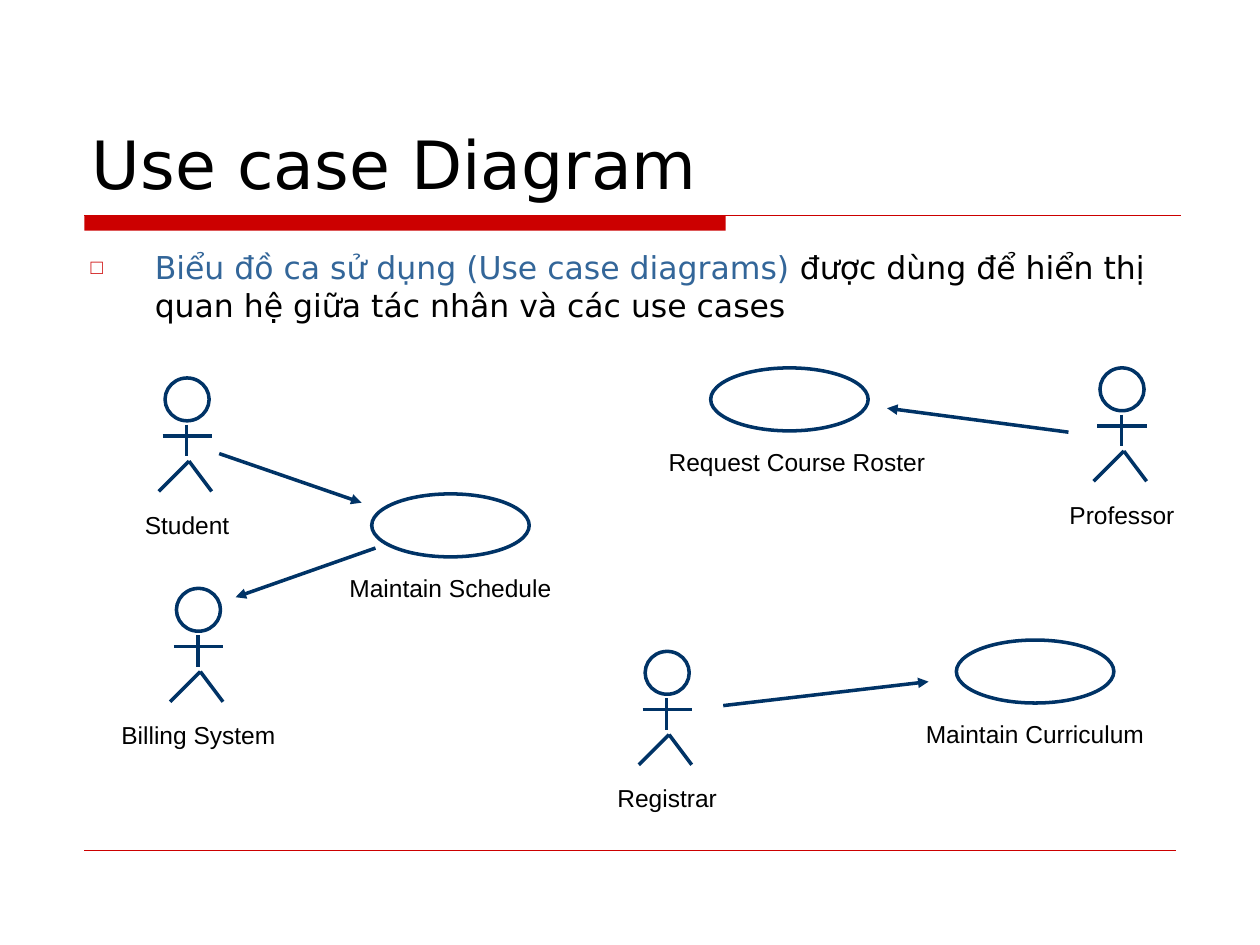
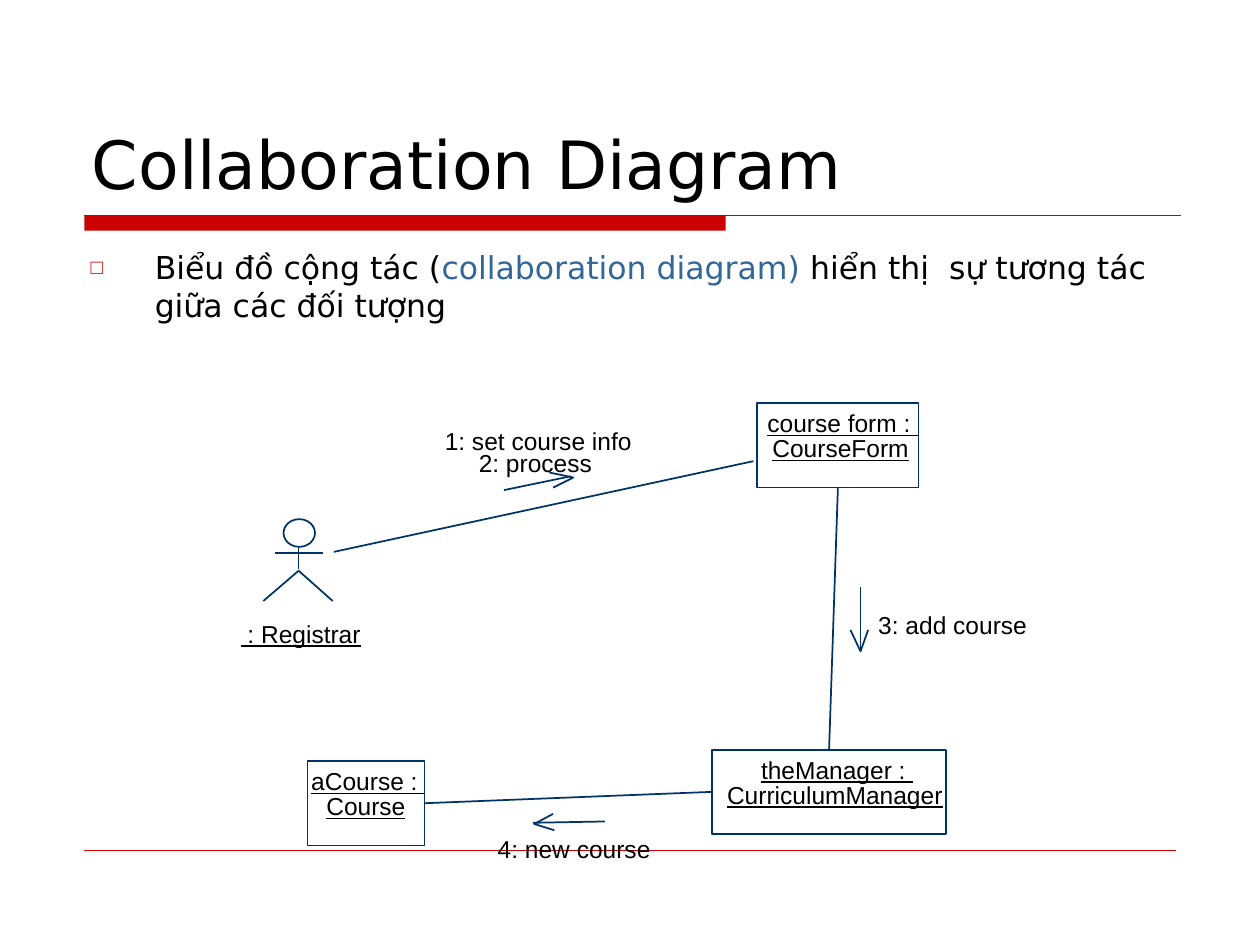
from dataclasses import dataclass

from lxml import etree
from pptx import Presentation
from pptx.dml.color import RGBColor
from pptx.enum.shapes import MSO_CONNECTOR, MSO_SHAPE
from pptx.enum.text import MSO_ANCHOR, MSO_AUTO_SIZE, PP_ALIGN
from pptx.oxml.ns import qn
from pptx.util import Inches, Pt

STRAIGHT = MSO_CONNECTOR.STRAIGHT
OVAL, RECTANGLE = MSO_SHAPE.OVAL, MSO_SHAPE.RECTANGLE
LEFT, CENTER = PP_ALIGN.LEFT, PP_ALIGN.CENTER
TOP, MIDDLE, BOTTOM = MSO_ANCHOR.TOP, MSO_ANCHOR.MIDDLE, MSO_ANCHOR.BOTTOM
FIXED_SIZE = MSO_AUTO_SIZE.NONE
SIDE_TOP, SIDE_LEFT, SIDE_BOTTOM, SIDE_RIGHT = range(4)
TITLE_ONLY = 5
LABEL_SLACK = 0.1  # spare width that keeps each label on one line

Point = tuple[float, float]
Stroke = tuple[Point, ...]


@dataclass(frozen=True)
class Theme:
    red: str = "CC0000"
    navy: str = "003366"
    blue: str = "336699"
    black: str = "000000"
    heading_font: str = "DejaVu Sans"
    label_font: str = "Arial"
    title_size: int = 38
    body_size: int = 18
    label_size: int = 14
    bold_line: float = 2
    thin_line: float = 1
    footer_line: float = 0.25


THEME = Theme()


@dataclass(frozen=True)
class FigureStyle:
    """Head size and limb strokes, measured from the head's top left corner."""
    head_width: float
    head_height: float
    strokes: tuple[Stroke, ...]
    line_width: float


@dataclass(frozen=True)
class Label:
    text: str
    left: float
    top: float
    width: float
    underline: bool = False


@dataclass(frozen=True)
class Actor:
    name: str
    left: float
    top: float
    label_width: float


@dataclass(frozen=True)
class UseCase:
    name: str
    left: float
    top: float
    label_width: float
    label_shift: float = 0


@dataclass(frozen=True)
class ObjectBox:
    left: float
    top: float
    width: float
    lines: tuple[tuple[str, float, float], ...]  # text, left, width


@dataclass(frozen=True)
class Message:
    shaft: Stroke
    head: Stroke


BOLD_FIGURE = FigureStyle(0.35, 0.34, (
    ((0.19, 0.66), (-0.05, 0.9)), ((0.19, 0.66), (0.37, 0.9)),
    ((0.17, 0.37), (0.17, 0.62)), ((-0.02, 0.46), (0.37, 0.46))), THEME.bold_line)
THIN_FIGURE = FigureStyle(0.25, 0.22, (
    ((0.12, 0.22), (0.12, 0.4)), ((-0.07, 0.27), (0.31, 0.27)),
    ((-0.16, 0.65), (0.12, 0.41), (0.39, 0.65))), THEME.thin_line)

ACTORS = (
    Actor("Student", 1.31, 3, 0.87),
    Actor("Registrar", 5.12, 5.17, 0.99),
    Actor("Professor", 8.73, 2.92, 1.03),
    Actor("Billing System", 1.4, 4.67, 1.42),
)
USE_CASES = (
    UseCase("Maintain Schedule", 2.95, 3.92, 1.8),
    UseCase("Maintain Curriculum", 7.59, 5.08, 1.93),
    UseCase("Request Course Roster", 5.64, 2.92, 2.24, 0.06),
)
USE_CASE_ARROWS = (
    ((8.48, 3.43), (7.04, 3.24)), ((1.74, 3.6), (2.87, 3.99)),
    ((2.98, 4.35), (1.87, 4.74)), ((5.74, 5.6), (7.37, 5.41)),
)
OBJECT_BOXES = (
    ObjectBox(6.01, 3.2, 1.28,
              (("course form : ", 6.09, 1.19), ("CourseForm", 6.13, 1.08))),
    ObjectBox(5.65, 5.95, 1.86,
              (("theManager : ", 6.04, 1.2), ("CurriculumManager", 5.77, 1.71))),
    ObjectBox(2.44, 6.04, 0.93,
              (("aCourse : ", 2.47, 0.9), ("Course", 2.59, 0.63))),
)
MESSAGES = (
    Message(((4, 3.89), (4.53, 3.78)), ((4.39, 3.87), (4.55, 3.79), (4.36, 3.75))),
    Message(((6.83, 4.66), (6.83, 5.16)), ((6.89, 5), (6.83, 5.17), (6.75, 5))),
    Message(((4.8, 6.52), (4.23, 6.53)), ((4.4, 6.59), (4.24, 6.54), (4.39, 6.46))),
)
MESSAGE_LABELS = (
    Label("1: set course info", 3.53, 3.38, 1.49),
    Label("2: process", 3.8, 3.56, 0.9),
    Label("3: add course", 6.97, 4.84, 1.18),
    Label("4: new course", 3.95, 6.62, 1.21),
)


# Formatting helpers
def apply_format(target, values: dict) -> None:
    for name, value in values.items():
        setattr(target, name, value)


def format_font(font, family: str, size: float, color: str, underline=False) -> None:
    apply_format(font, {"name": family, "size": Pt(size), "underline": underline})
    font.color.rgb = RGBColor.from_string(color)


def format_frame(frame, inset_x=0.0, inset_y=0.0, wrap=True, anchor=TOP) -> None:
    apply_format(frame, {
        "margin_left": Inches(inset_x), "margin_right": Inches(inset_x),
        "margin_top": Inches(inset_y), "margin_bottom": Inches(inset_y),
        "word_wrap": wrap, "auto_size": FIXED_SIZE, "vertical_anchor": anchor})


def format_outline(shape, color: str, width: float) -> None:
    shape.line.color.rgb = RGBColor.from_string(color)
    shape.line.width = Pt(width)


# Drawing helpers
def add_line(slide, start: Point, end: Point, width: float,
             color: str = THEME.navy, arrow: bool = False):
    line = slide.shapes.add_connector(STRAIGHT, *map(Inches, (*start, *end)))
    format_outline(line, color, width)
    if arrow:
        etree.SubElement(line.line._get_or_add_ln(), qn("a:tailEnd"), type="triangle")
    etree.SubElement(line._element.spPr, qn("a:effectLst"))
    return line


def add_outline(slide, kind, left: float, top: float, width: float,
                height: float, line_width: float):
    shape = slide.shapes.add_shape(kind, *map(Inches, (left, top, width, height)))
    shape.shadow.inherit = False
    shape.fill.background()
    format_outline(shape, THEME.navy, line_width)
    return shape


def add_stroke(slide, points: Stroke, width: float) -> None:
    """Draw a segment as a line and a longer run of points as an open outline."""
    if len(points) == 2:
        add_line(slide, *points, width)
        return
    start, *rest = [(Inches(x), Inches(y)) for x, y in points]
    builder = slide.shapes.build_freeform(*start)
    builder.add_line_segments(rest, close=False)
    shape = builder.convert_to_shape()
    shape.shadow.inherit = False
    shape.fill.background()
    format_outline(shape, THEME.navy, width)


def add_text(slide, label: Label, height: float, alignment, **frame_format) -> None:
    box = slide.shapes.add_textbox(
        *map(Inches, (label.left, label.top, label.width, height)))
    format_frame(box.text_frame, **frame_format)
    paragraph = box.text_frame.paragraphs[0]
    paragraph.alignment = alignment
    run = paragraph.add_run()
    run.text = label.text
    format_font(run.font, THEME.label_font, THEME.label_size, THEME.black, label.underline)


def add_tight_label(slide, label: Label) -> None:
    roomy = Label(label.text, label.left, label.top, label.width + LABEL_SLACK,
                  label.underline)
    add_text(slide, roomy, 0.23, LEFT)


def add_centered_label(slide, text: str, center: float, top: float, width: float) -> None:
    width += LABEL_SLACK
    add_text(slide, Label(text, center - width / 2, top, width), 0.33, CENTER,
             inset_x=0.1, inset_y=0.05, anchor=MIDDLE)


def add_figure(slide, left: float, top: float, style: FigureStyle) -> None:
    add_outline(slide, OVAL, left, top, style.head_width, style.head_height,
                style.line_width)
    for stroke in style.strokes:
        points = tuple((left + x, top + y) for x, y in stroke)
        add_stroke(slide, points, style.line_width)


def add_actor(slide, actor: Actor) -> None:
    add_figure(slide, actor.left, actor.top, BOLD_FIGURE)
    add_centered_label(slide, actor.name, actor.left + BOLD_FIGURE.head_width / 2,
                       actor.top + 1, actor.label_width)


def add_use_case(slide, case: UseCase) -> None:
    width = 1.25
    add_outline(slide, OVAL, case.left, case.top, width, 0.5, THEME.bold_line)
    add_centered_label(slide, case.name, case.left + width / 2 + case.label_shift,
                       case.top + 0.58, case.label_width)


def add_object_box(slide, box: ObjectBox):
    shape = add_outline(slide, RECTANGLE, box.left, box.top, box.width, 0.67,
                        THEME.thin_line)
    for index, (text, left, width) in enumerate(box.lines):
        top = box.top + 0.04 + 0.2 * index
        add_tight_label(slide, Label(text, left, top, width, underline=True))
    return shape


def join(slide, first, first_side: int, second, second_side: int) -> None:
    line = add_line(slide, (0, 0), (1, 1), THEME.thin_line)
    line.begin_connect(first, first_side)
    line.end_connect(second, second_side)


# Shared slide frame: title, red band, footer rule and bulleted sentence
def add_base_slide(presentation, title: str, sentence: tuple[tuple[str, str], ...]):
    slide = presentation.slides.add_slide(presentation.slide_layouts[TITLE_ONLY])
    heading = slide.shapes.title
    apply_format(heading, {"left": Inches(0.63), "top": Inches(0.33),
                           "width": Inches(8.75), "height": Inches(1.33)})
    heading.text_frame.text = title
    format_frame(heading.text_frame, 0.1, 0.05, anchor=BOTTOM)
    paragraph = heading.text_frame.paragraphs[0]
    paragraph.alignment = LEFT
    format_font(paragraph.runs[0].font, THEME.heading_font, THEME.title_size, THEME.black)

    band = slide.shapes.add_shape(RECTANGLE, *map(Inches, (0.67, 1.71, 5.09, 0.12)))
    band.shadow.inherit = False
    band.fill.solid()
    band.fill.fore_color.rgb = RGBColor.from_string(THEME.red)
    band.line.fill.background()
    add_line(slide, (0.67, 1.71), (9.37, 1.71), THEME.thin_line, THEME.red)
    add_line(slide, (0.67, 6.75), (9.33, 6.75), THEME.footer_line, THEME.red)

    body = slide.shapes.add_textbox(*map(Inches, (0.62, 1.92, 8.75, 4.67)))
    format_frame(body.text_frame, 0.1, 0.05)
    paragraph = body.text_frame.paragraphs[0]
    properties = paragraph._p.get_or_add_pPr()
    properties.set("marL", str(Inches(0.51)))
    properties.set("indent", str(-Inches(0.51)))
    bullet_color = etree.SubElement(properties, qn("a:buClr"))
    etree.SubElement(bullet_color, qn("a:srgbClr"), val=THEME.red)
    etree.SubElement(properties, qn("a:buSzPct"), val="65000")
    etree.SubElement(properties, qn("a:buFont"), typeface=THEME.label_font)
    etree.SubElement(properties, qn("a:buChar"), char="□")
    for text, color in sentence:
        run = paragraph.add_run()
        run.text = text
        format_font(run.font, THEME.heading_font, THEME.body_size, color)
    return slide


def build_use_case_slide(presentation) -> None:
    slide = add_base_slide(presentation, "Use case Diagram", (
        ("Biểu đồ ca sử dụng (Use case diagrams)", THEME.blue),
        (" được dùng để hiển thị quan hệ giữa tác nhân và các use cases", THEME.black)))
    for actor in ACTORS:
        add_actor(slide, actor)
    for case in USE_CASES:
        add_use_case(slide, case)
    for start, end in USE_CASE_ARROWS:
        add_line(slide, start, end, THEME.bold_line, arrow=True)


def build_collaboration_slide(presentation) -> None:
    slide = add_base_slide(presentation, "Collaboration Diagram", (
        ("Biểu đồ cộng tác (", THEME.black),
        ("collaboration diagram)", THEME.blue),
        (" hiển thị  sự tương tác giữa các đối tượng", THEME.black)))
    add_figure(slide, 2.25, 4.12, THIN_FIGURE)
    add_tight_label(slide, Label(" : Registrar", 1.91, 4.91, 0.95, underline=True))
    form, manager, course = [add_object_box(slide, box) for box in OBJECT_BOXES]
    # Links between the objects
    add_line(slide, (2.65, 4.38), (5.98, 3.66), THEME.thin_line)
    join(slide, form, SIDE_BOTTOM, manager, SIDE_TOP)
    join(slide, manager, SIDE_LEFT, course, SIDE_RIGHT)
    # Message arrows and their labels
    for message in MESSAGES:
        add_stroke(slide, message.shaft, THEME.thin_line)
        add_stroke(slide, message.head, THEME.thin_line)
    for label in MESSAGE_LABELS:
        add_tight_label(slide, label)


def main() -> None:
    presentation = Presentation()
    apply_format(presentation, {"slide_width": Inches(10), "slide_height": Inches(7.5)})
    build_use_case_slide(presentation)
    build_collaboration_slide(presentation)
    presentation.save("out.pptx")


if __name__ == "__main__":
    main()
